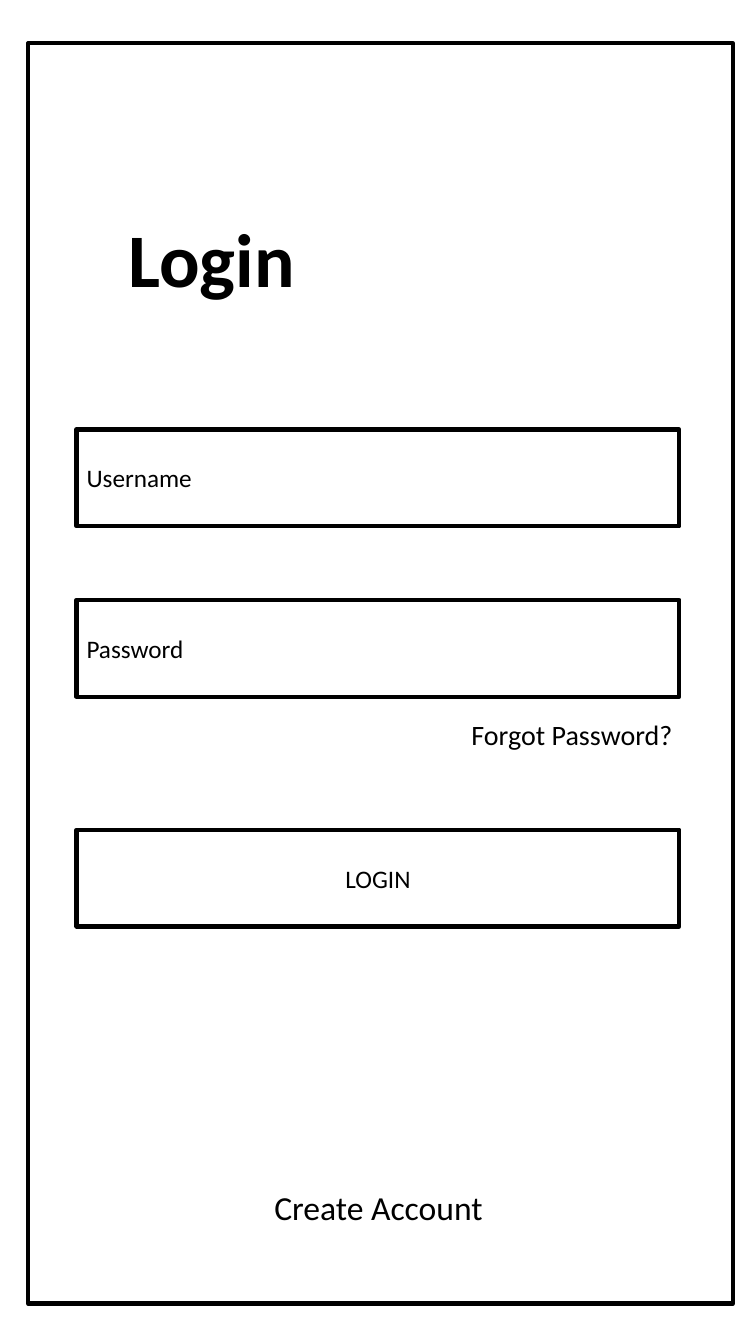
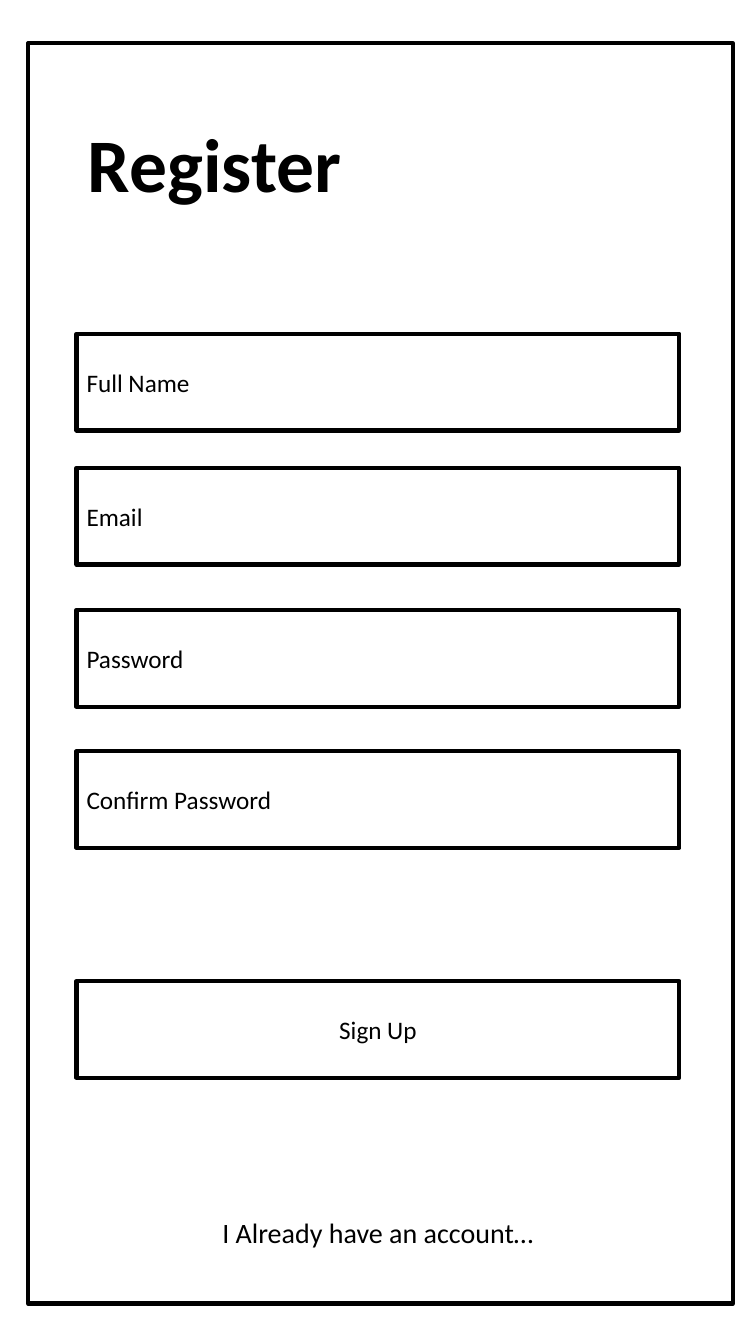
"""Build the login and register wireframes."""
from pptx import Presentation
from pptx.dml.color import RGBColor
from pptx.enum.shapes import MSO_SHAPE as Shape
from pptx.enum.text import MSO_ANCHOR as Anchor, MSO_AUTO_SIZE as AutoSize, PP_ALIGN as Align
from pptx.util import Emu, Pt

EMU_PER_PX = 9144
PAGE_SIZE = (750, 1333)
FRAME = (28, 43, 699, 1250)
FIELD_LEFT, FIELD_WIDTH, FIELD_HEIGHT = 76, 598, 96
BLACK = RGBColor(0x00, 0x00, 0x00)
WHITE = RGBColor(0xFF, 0xFF, 0xFF)
BODY = {"name": "Calibri", "size": Pt(18), "bold": False}
LINK = {**BODY, "size": Pt(20)}
BIG_LINK = {**BODY, "size": Pt(24)}
TITLE = {**BODY, "size": Pt(54), "bold": True}


def px(*lengths):
    """Turn pixel lengths into EMU."""
    return [Emu(length * EMU_PER_PX) for length in lengths]


def write(box, text, style, align):
    """Put one styled paragraph into a box."""
    para = box.text_frame.paragraphs[0]
    para.alignment = align
    span = para.add_run()
    span.text = text
    for name, value in style.items():
        setattr(span.font, name, value)
    span.font.color.rgb = BLACK


def add_outline(page, *bounds):
    """Add an unfilled rectangle with a heavy black border."""
    box = page.shapes.add_shape(Shape.RECTANGLE, *px(*bounds))
    box.shadow.inherit = False
    box.fill.background()
    box.line.color.rgb = BLACK
    box.line.width = Pt(3)
    return box


def add_field(page, top, text, align=Align.LEFT):
    """Add a full-width input field or button."""
    box = add_outline(page, FIELD_LEFT, top, FIELD_WIDTH, FIELD_HEIGHT)
    box.fill.solid()
    box.fill.fore_color.rgb = WHITE
    box.text_frame.vertical_anchor = Anchor.MIDDLE
    write(box, text, BODY, align)


def add_label(page, bounds, text, style, wrap=True):
    """Add a centred text box."""
    box = page.shapes.add_textbox(*px(*bounds))
    box.text_frame.word_wrap = wrap
    box.text_frame.auto_size = AutoSize.SHAPE_TO_FIT_TEXT
    write(box, text, style, Align.CENTER)


def add_form(deck, title, title_bounds, fields, button, links):
    """Add a page with a title, input fields, a button, links and a frame."""
    page = deck.slides.add_slide(deck.slide_layouts[6])
    add_label(page, title_bounds, title, TITLE, wrap=False)
    for top, text in fields:
        add_field(page, top, text)
    add_field(page, *button, align=Align.CENTER)
    for bounds, text, style in links:
        add_label(page, bounds, text, style)
    add_outline(page, *FRAME)


def main():
    """Build and save the deck."""
    deck = Presentation()
    deck.slide_width, deck.slide_height = px(*PAGE_SIZE)
    add_form(
        deck, "Login", (116, 205, 188, 101),
        fields=[(426, "Username"), (595, "Password")],
        button=(823, "LOGIN"),
        links=[((436, 707, 263, 44), "Forgot Password?", LINK),
               ((244, 1172, 263, 50), "Create Account", BIG_LINK)],
    )
    add_form(
        deck, "Register", (76, 111, 274, 101),
        fields=[(331, "Full Name"), (464, "Email"),
                (605, "Password"), (745, "Confirm Password")],
        button=(973, "Sign Up"),
        links=[((196, 1201, 358, 44), "I Already have an account…", LINK)],
    )
    deck.save("out.pptx")


if __name__ == "__main__":
    main()
